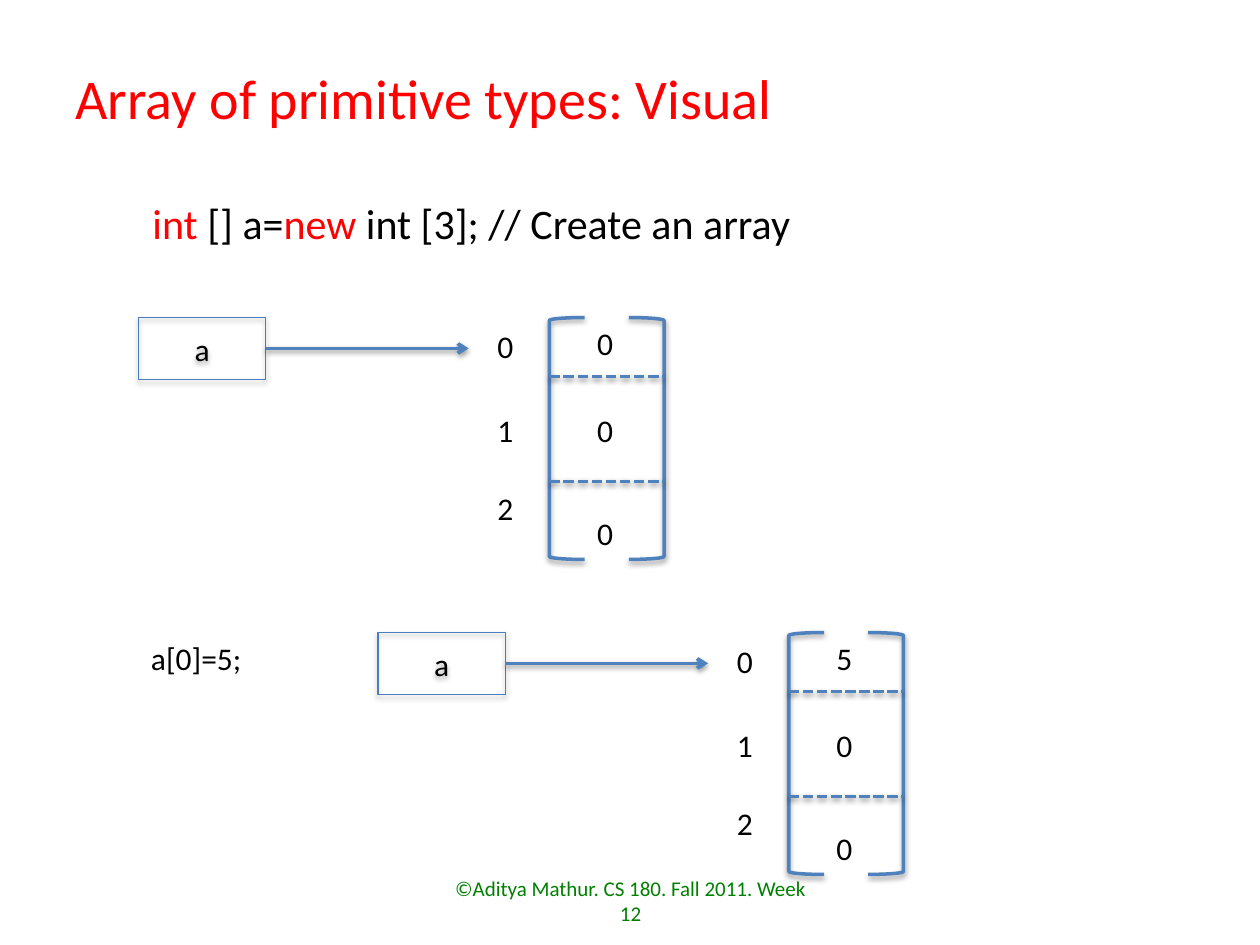
from pptx import Presentation
from pptx.dml.color import RGBColor
from pptx.enum.dml import MSO_LINE
from pptx.enum.shapes import MSO_CONNECTOR, MSO_SHAPE
from pptx.enum.text import MSO_ANCHOR, PP_ALIGN
from pptx.oxml import parse_xml
from pptx.oxml.ns import nsdecls, qn
from pptx.util import Inches, Pt

LEFT, CENTER = PP_ALIGN.LEFT, PP_ALIGN.CENTER
TOP, MIDDLE = MSO_ANCHOR.TOP, MSO_ANCHOR.MIDDLE
DASH = MSO_LINE.SQUARE_DOT
FONT = "Calibri"
BLACK, RED, GREEN = "000000", "FF0000", "008000"
BLUE, BOX_BLUE = "4F81BD", "4B7EBC"

TITLE = [("Array of primitive types: Visual", RED)]
CODE = [("int", RED), (" [] a=", BLACK), ("new ", RED),
        ("int [3]; // Create an array", BLACK)]
ASSIGNMENT = [("a[0]=5;", BLACK)]
FOOTER = [("©Aditya Mathur. CS 180. Fall 2011. Week 12", GREEN)]

# left, top, variable name, array values
DIAGRAMS = [(1.10, 2.52, "a", "000"), (3.00, 5.02, "a", "500")]

# Offsets inside one diagram, in inches
BOX_W, BOX_H = 1.01, 0.49
ARROW_END, INDEX_X, ARRAY_X, VALUE_X = 2.62, 2.75, 3.26, 3.54
ARRAY_W, ARRAY_H, BRACKET_W = 0.91, 1.92, 0.28
INDEX_Y, VALUE_Y, DIVIDER_Y = (0.03, 0.69, 1.31), (0, 0.69, 1.51), (0.47, 1.30)
LABEL_W, LABEL_H = 0.33, 0.40


def rgb(value):
    return RGBColor.from_string(value)


def write(tf, runs, size, align=LEFT, anchor=TOP, wrap=True):
    tf.word_wrap = wrap
    tf.vertical_anchor = anchor
    p = tf.paragraphs[0]
    p.alignment = align
    for text, color in runs:
        r = p.add_run()
        r.text = text
        r.font.name, r.font.size = FONT, Pt(size)
        r.font.color.rgb = rgb(color)
    return p


def place(shape, *box):
    shape.left, shape.top, shape.width, shape.height = map(Inches, box)


def add_text(shapes, box, runs, size, **layout):
    tb = shapes.add_textbox(*map(Inches, box))
    write(tb.text_frame, runs, size, **layout)


def style(shape, color, width, opacity=38, distance=1.6):
    """Set the outline and a soft shadow falling straight down."""
    shape.line.color.rgb = rgb(color)
    shape.line.width = Pt(width)
    shape._element.spPr.append(parse_xml(
        f'<a:effectLst {nsdecls("a")}><a:outerShdw blurRad="{Pt(3.1)}" '
        f'dist="{Pt(distance)}" dir="5400000" rotWithShape="0">'
        f'<a:srgbClr val="{BLACK}"><a:alpha val="{opacity * 1000}"/></a:srgbClr>'
        '</a:outerShdw></a:effectLst>'))


def add_shape(shapes, kind, box, *look):
    sp = shapes.add_shape(kind, *map(Inches, box))
    sp.fill.background()
    style(sp, *look)
    return sp


def add_line(shapes, x1, y1, x2, y2):
    line = shapes.add_connector(MSO_CONNECTOR.STRAIGHT,
                                *map(Inches, (x1, y1, x2, y2)))
    style(line, BLUE, 2)
    return line


def add_diagram(s, x, y, name, values):
    """Draw a variable box pointing at a bracketed column of array cells."""
    shapes = s.shapes.add_group_shape().shapes
    array_x = x + ARRAY_X
    for kind, left in ((MSO_SHAPE.LEFT_BRACKET, array_x),
                       (MSO_SHAPE.RIGHT_BRACKET, array_x + ARRAY_W - BRACKET_W)):
        add_shape(shapes, kind, (left, y, BRACKET_W, ARRAY_H), BLUE, 2)
    for dy in DIVIDER_Y:
        divider = add_line(shapes, array_x, y + dy, array_x + ARRAY_W, y + dy)
        divider.line.dash_style = DASH
    for dx, offsets, labels in ((INDEX_X, INDEX_Y, "012"),
                                (VALUE_X, VALUE_Y, values)):
        for dy, label in zip(offsets, labels):
            add_text(shapes, (x + dx, y + dy, LABEL_W, LABEL_H),
                     [(label, BLACK)], 18, wrap=False)

    variable = add_shape(shapes, MSO_SHAPE.RECTANGLE, (x, y, BOX_W, BOX_H),
                         BOX_BLUE, 0.75, 35, 1.8)
    write(variable.text_frame, [(name, BLACK)], 18, CENTER, MIDDLE)
    mid = y + BOX_H / 2
    arrow = add_line(shapes, x + BOX_W, mid, x + ARROW_END, mid)
    arrow.begin_connect(variable, 3)
    arrow.line._get_or_add_ln().append(
        parse_xml(f'<a:tailEnd {nsdecls("a")} type="arrow"/>'))


def main():
    prs = Presentation()
    prs.slide_width, prs.slide_height = Inches(10), Inches(7.5)
    s = prs.slides.add_slide(prs.slide_layouts[1])
    title, body = s.placeholders

    place(title, 0.5, 0.46, 7.92, 1.07)
    write(title.text_frame, TITLE, 32).line_spacing = Pt(38)

    place(body, 0.61, 1.53, 8.32, 0.89)
    p = write(body.text_frame, CODE, 24)
    p.line_spacing, p.space_before = Pt(28), Pt(0)
    pPr = p._p.get_or_add_pPr()
    pPr.set("marL", str(Inches(1)))
    pPr.set("indent", str(Inches(-0.5)))
    pPr.append(pPr.makeelement(qn("a:buNone"), {}))

    add_text(s.shapes, (3.42, 6.95, 3.17, 0.4), FOOTER, 12,
             align=CENTER, anchor=MIDDLE)
    add_text(s.shapes, (1.1, 5.02, 0.93, LABEL_H), ASSIGNMENT, 18, wrap=False)
    for diagram in DIAGRAMS:
        add_diagram(s, *diagram)
    prs.save("out.pptx")


if __name__ == "__main__":
    main()
